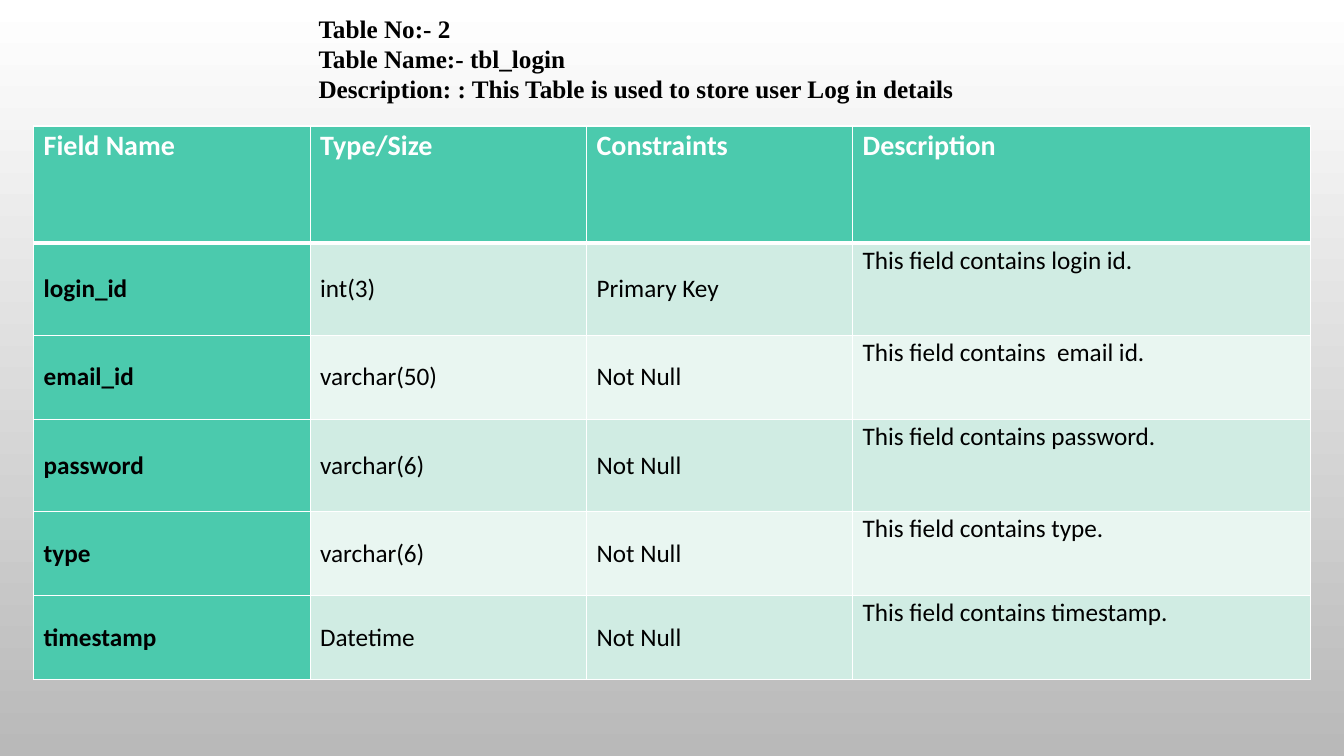
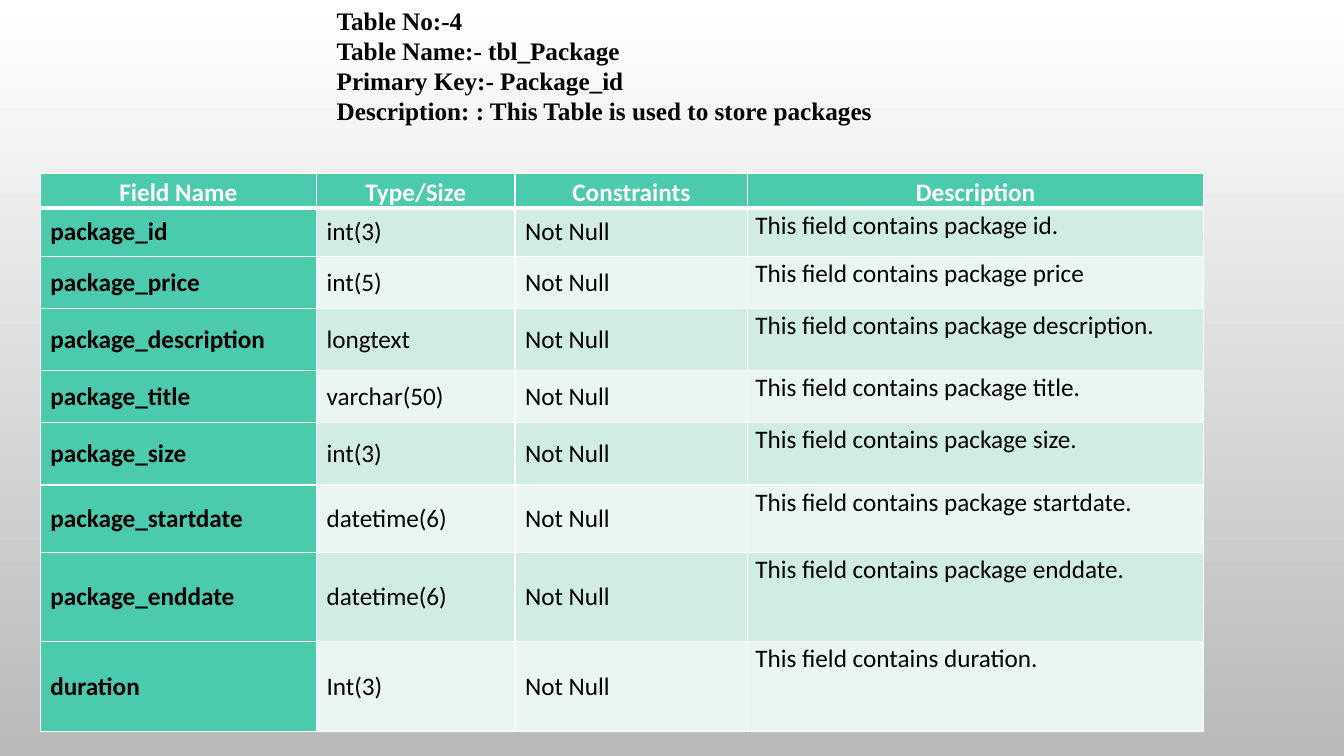
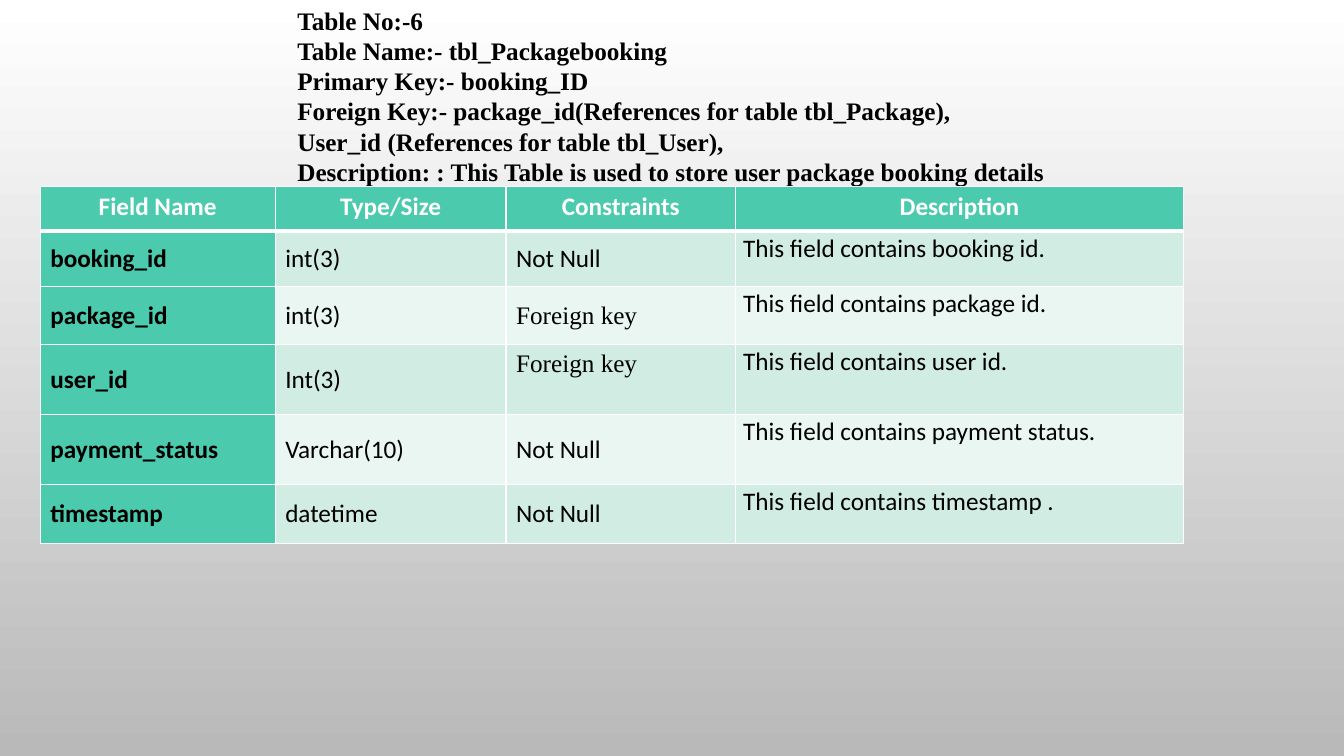
from dataclasses import dataclass

from lxml.etree import SubElement
from pptx import Presentation
from pptx.dml.color import RGBColor
from pptx.enum.text import MSO_ANCHOR as Anchor
from pptx.enum.text import MSO_AUTO_SIZE as AutoSize
from pptx.enum.text import PP_ALIGN as Align
from pptx.oxml.ns import qn
from pptx.slide import Slide
from pptx.table import _Cell as Cell
from pptx.text.text import _Paragraph as Paragraph
from pptx.util import Pt


@dataclass(frozen=True)
class Theme:
    black: str = "000000"
    white: str = "FFFFFF"
    shade: str = "B9B9B9"
    teal: str = "4BCAAD"
    bands: tuple[str, str] = ("D0ECE3", "E9F6F1")
    sans: str = "Calibri"
    serif: str = "Times New Roman"
    body_size: float = 18
    large_size: float = 20
    thin_line: float = 1
    thick_line: float = 3
    body_spacing: float = 1.07
    header_spacing: float = 1.15
    space_after: float = 8


THEME = Theme()
HEADINGS = ("Field Name", "Type/Size", "Constraints", "Description")


@dataclass(frozen=True)
class Box:
    left: float
    top: float
    width: float
    height: float


@dataclass(frozen=True)
class Field:
    name: str
    type_size: str
    constraint: str
    description: str
    height: float
    constraint_anchor: Anchor = Anchor.MIDDLE


@dataclass(frozen=True)
class TablePage:
    caption_box: Box
    caption: tuple[str, ...]
    left: float
    top: float
    columns: tuple[float, ...]
    header_height: float
    fields: tuple[Field, ...]
    inset: float = 5.4
    header_size: float = THEME.body_size
    header_spacing: float = THEME.header_spacing
    header_align: Align = Align.CENTER


PAGES = (
    TablePage(
        caption_box=Box(220.3, 5.8, 559.4, 72.7),
        caption=(
            "Table No:- 2",
            "Table Name:- tbl_login",
            "Description: : This Table is used to store user Log in details",
        ),
        left=24,
        top=90,
        columns=(197.5, 197.5, 190, 327),
        header_height=83.5,
        fields=(
            Field("login_id", "int(3)", "Primary Key", "This field contains login id.", 66),
            Field("email_id", "varchar(50)", "Not Null", "This field contains  email id.", 60),
            Field("password", "varchar(6)", "Not Null", "This field contains password.", 66),
            Field("type", "varchar(6)", "Not Null", "This field contains type.", 60),
            Field("timestamp", "Datetime", "Not Null", "This field contains timestamp.", 60),
        ),
        inset=7.2,
        header_size=THEME.large_size,
        header_spacing=THEME.body_spacing,
        header_align=Align.LEFT,
    ),
    TablePage(
        caption_box=Box(233.3, 0, 612, 94.3),
        caption=(
            "Table No:-4",
            "Table Name:- tbl_Package",
            "Primary Key:- Package_id",
            "Description: : This Table is used to store packages",
        ),
        left=28.8,
        top=123.8,
        columns=(197.3, 141.8, 166.3, 325.4),
        header_height=24.5,
        fields=(
            Field("package_id", "int(3)", "Not Null", "This field contains package id.", 34.6),
            Field("package_price", "int(5)", "Not Null", "This field contains package price", 37),
            Field("package_description", "longtext", "Not Null", "This field contains package description.", 44.6),
            Field("package_title", "varchar(50)", "Not Null", "This field contains package title.", 37),
            Field("package_size", "int(3)", "Not Null", "This field contains package size.", 44.6),
            Field("package_startdate", "datetime(6)", "Not Null", "This field contains package startdate.", 48),
            Field("package_enddate", "datetime(6)", "Not Null", "This field contains package enddate.", 64),
            Field("duration", "Int(3)", "Not Null", "This field contains duration.", 64),
        ),
    ),
    TablePage(
        caption_box=Box(205.2, 0, 612, 138.2),
        caption=(
            "Table No:-6",
            "Table Name:- tbl_Packagebooking",
            "Primary Key:- booking_ID",
            "Foreign Key:- package_id(References for table tbl_Package),",
            "User_id (References for table tbl_User),",
            "Description: : This Table is used to store user package booking details",
        ),
        left=28.8,
        top=133.2,
        columns=(167.8, 164.9, 164, 319.7),
        header_height=31.7,
        fields=(
            Field("booking_id", "int(3)", "Not Null", "This field contains booking id.", 39.6),
            Field("package_id", "int(3)", "Foreign key", "This field contains package id.", 41.8),
            Field("user_id", "Int(3)", "Foreign key", "This field contains user id.", 50, Anchor.TOP),
            Field("payment_status", "Varchar(10)", "Not Null", "This field contains payment status.", 50),
            Field("timestamp", "datetime", "Not Null", "This field contains timestamp .", 41.8),
        ),
    ),
)


def add_span(para: Paragraph, text: str, color: str = THEME.black, bold: bool = False,
             size: float = THEME.body_size, font: str = THEME.sans) -> None:
    span = para.add_run()
    span.text = text
    span.font.name = font
    span.font.size = Pt(size)
    span.font.bold = bold
    span.font.color.rgb = RGBColor.from_string(color)


def space_lines(para: Paragraph, spacing: float) -> None:
    para.line_spacing = spacing
    para.space_after = Pt(THEME.space_after)


def set_insets(cell: Cell, side: float) -> None:
    cell.margin_left = cell.margin_right = Pt(side)
    cell.margin_top = cell.margin_bottom = 0


def paint_cell(cell: Cell, fill: str, top_line: float, bottom_line: float) -> None:
    properties = cell._tc.get_or_add_tcPr()
    widths = {"a:lnL": THEME.thin_line, "a:lnR": THEME.thin_line,
              "a:lnT": top_line, "a:lnB": bottom_line}
    for tag, width in widths.items():
        line = SubElement(properties, qn(tag), w=str(int(Pt(width))))
        solid = SubElement(line, qn("a:solidFill"))
        SubElement(solid, qn("a:srgbClr"), val=THEME.white)
    cell.fill.solid()
    cell.fill.fore_color.rgb = RGBColor.from_string(fill)


def add_caption(page: Slide, content: TablePage) -> None:
    title = page.shapes.title
    box = content.caption_box
    title.left, title.top = Pt(box.left), Pt(box.top)
    title.width, title.height = Pt(box.width), Pt(box.height)
    frame = title.text_frame
    frame.word_wrap = True
    frame.auto_size = AutoSize.SHAPE_TO_FIT_TEXT
    frame.vertical_anchor = Anchor.TOP
    for index, text in enumerate(content.caption):
        para = frame.add_paragraph() if index else frame.paragraphs[0]
        para.alignment = Align.LEFT
        add_span(para, text, bold=True, font=THEME.serif)


def fill_header(cell: Cell, heading: str, content: TablePage) -> None:
    paint_cell(cell, THEME.teal, THEME.thin_line, THEME.thick_line)
    set_insets(cell, content.inset)
    para = cell.text_frame.paragraphs[0]
    para.alignment = content.header_align
    space_lines(para, content.header_spacing)
    add_span(para, heading, color=THEME.white, bold=True, size=content.header_size)


def fill_field(cells: list[Cell], field: Field, index: int, inset: float) -> None:
    texts = (field.name, field.type_size, field.constraint, field.description)
    anchors = (Anchor.MIDDLE, Anchor.MIDDLE, field.constraint_anchor, Anchor.TOP)
    band = THEME.bands[index % 2]
    top_line = THEME.thin_line if index else THEME.thick_line
    for column, (cell, text, anchor) in enumerate(zip(cells, texts, anchors)):
        is_name = column == 0
        paint_cell(cell, THEME.teal if is_name else band, top_line, THEME.thin_line)
        cell.vertical_anchor = anchor
        para = cell.text_frame.paragraphs[0]
        font = THEME.serif if text == "Foreign key" else THEME.sans
        add_span(para, text, bold=is_name, font=font)
    set_insets(cells[-1], inset)
    space_lines(cells[-1].text_frame.paragraphs[0], THEME.body_spacing)


def add_field_table(page: Slide, content: TablePage) -> None:
    heights = (content.header_height, *(field.height for field in content.fields))
    table = page.shapes.add_table(
        len(heights), len(HEADINGS), Pt(content.left), Pt(content.top),
        Pt(sum(content.columns)), Pt(sum(heights))).table
    table.horz_banding = False
    for column, width in zip(table.columns, content.columns):
        column.width = Pt(width)
    for row, height in zip(table.rows, heights):
        row.height = Pt(height)
    for cell, heading in zip(table.rows[0].cells, HEADINGS):
        fill_header(cell, heading, content)
    for index, field in enumerate(content.fields):
        fill_field(list(table.rows[index + 1].cells), field, index, content.inset)


def main() -> None:
    deck = Presentation()
    deck.slide_width, deck.slide_height = Pt(960), Pt(540)
    backdrop = deck.slide_master.background.fill
    backdrop.gradient()
    backdrop.gradient_angle = 270
    for stop, color in zip(backdrop.gradient_stops, (THEME.white, THEME.shade)):
        stop.color.rgb = RGBColor.from_string(color)
    title_only = deck.slide_layouts.get_by_name("Title Only")
    for content in PAGES:
        page = deck.slides.add_slide(title_only)
        add_caption(page, content)
        add_field_table(page, content)
    deck.save("out.pptx")


if __name__ == "__main__":
    main()
